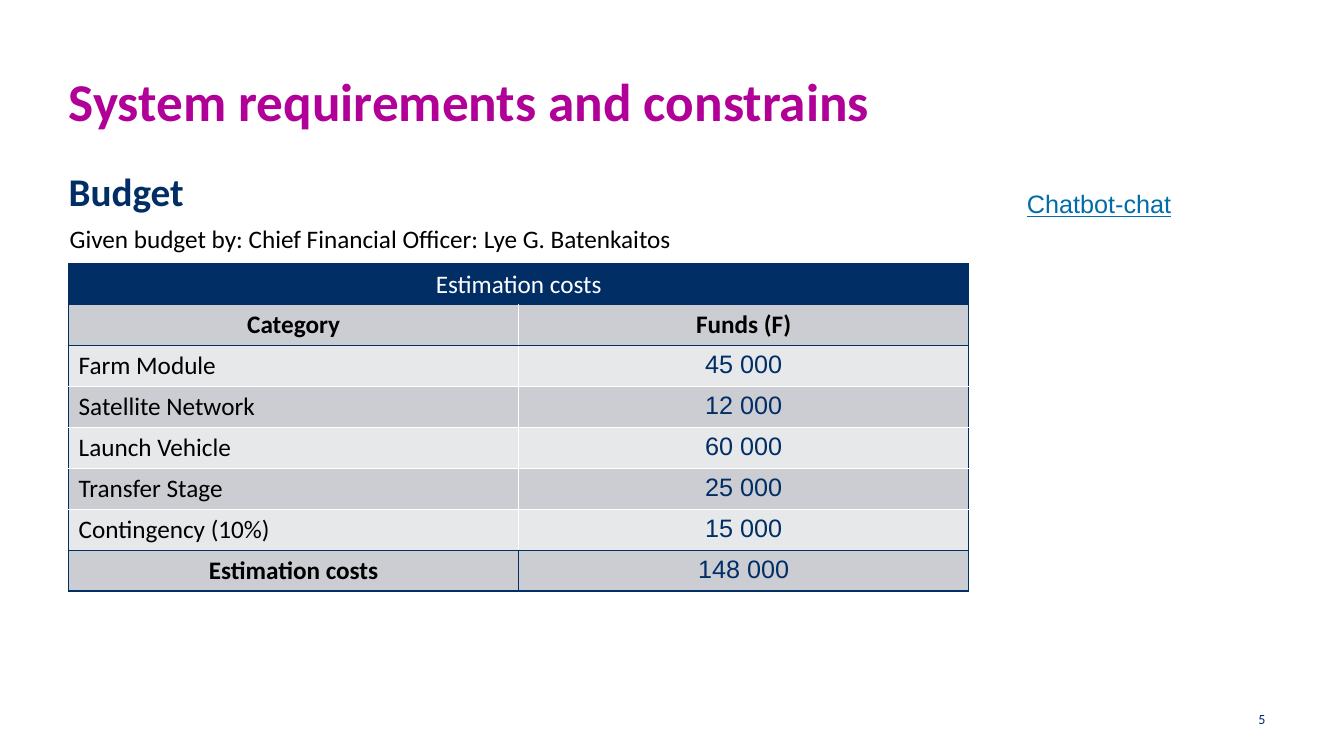
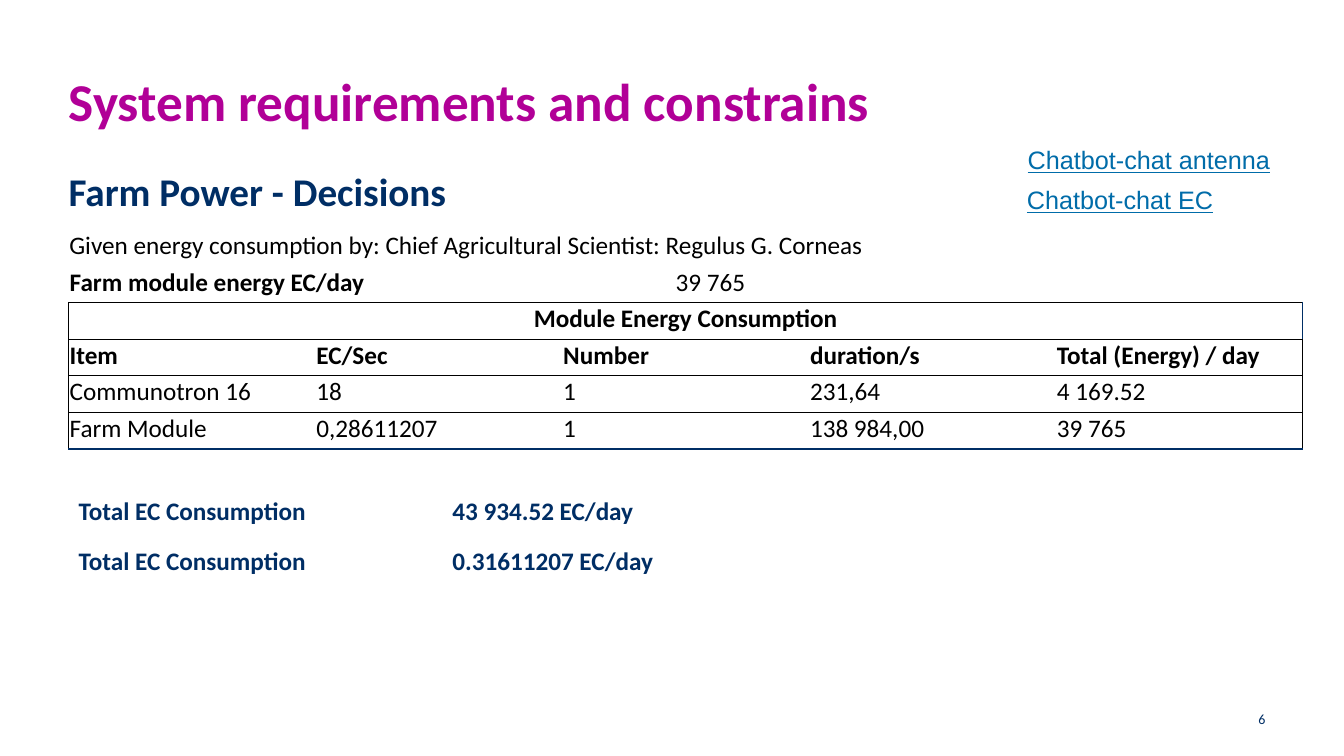
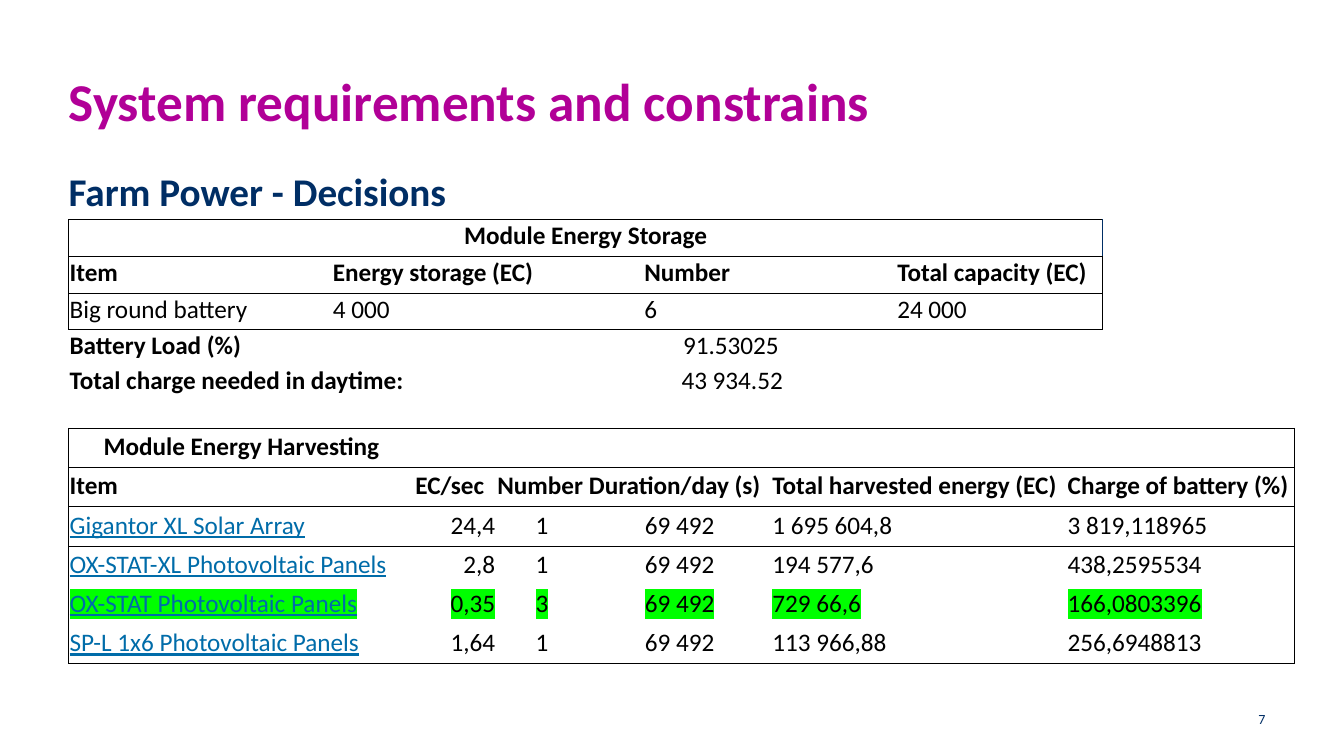
import pptx
import pptx.dml.color
import pptx.enum.text
import pptx.oxml
import pptx.oxml.ns
import pptx.util
from lxml import etree

Pt = pptx.util.Pt
qn = pptx.oxml.ns.qn
color_of = pptx.dml.color.RGBColor.from_string
ALIGN = {
    "l": pptx.enum.text.PP_ALIGN.LEFT,
    "c": pptx.enum.text.PP_ALIGN.CENTER,
    "r": pptx.enum.text.PP_ALIGN.RIGHT,
}
ANCHOR = pptx.enum.text.MSO_ANCHOR

NAVY, MAGENTA, LINK = "002E65", "B10097", "006CA9"
BLACK, WHITE, GREEN = "000000", "FFFFFF", "00FF00"
GREY, PALE = "CCCDD3", "E7E8EA"
LEFT = 49
PLAIN_TABLE = "{2D5ABB26-0587-4C30-8999-92F81FD0307C}"

# Text styles, named by one letter in the table rows
STYLES = {
    "n": {},
    "b": {"bold": True},
    "w": {"color": WHITE},
    "v": {"color": NAVY, "font": "Arial"},
    "a": {"color": LINK, "underline": True},
    "h": {"highlight": GREEN},
    "H": {"color": LINK, "underline": True, "highlight": GREEN},
    "title": {"size": 38, "color": MAGENTA, "bold": True},
    "heading": {"size": 28, "color": NAVY, "bold": True},
    "number": {"size": 10, "color": NAVY},
    "total": {"color": NAVY, "bold": True, "tab": 267},
    "chat": {"color": LINK, "font": "Arial", "underline": True},
}


def write(frame, text, align="l", size=18, color=BLACK, bold=False,
          font="Calibri", underline=False, highlight=None, tab=None):
    paragraph = frame.paragraphs[0]
    paragraph.alignment = ALIGN[align]
    if tab:
        stops = etree.SubElement(paragraph._p.get_or_add_pPr(), qn("a:tabLst"))
        etree.SubElement(stops, qn("a:tab"), pos=str(Pt(tab)), algn="l")
    run = paragraph.add_run()
    run.text = text
    run.font.size = Pt(size)
    run.font.bold = bold
    run.font.underline = underline
    run.font.color.rgb = color_of(color)
    if highlight:
        mark = etree.SubElement(run._r.get_or_add_rPr(), qn("a:highlight"))
        etree.SubElement(mark, qn("a:srgbClr"), val=highlight)
    run.font.name = font


def set_border(cell, side, line):
    if line is None:
        return
    color, width = line
    border = etree.SubElement(cell._tc.get_or_add_tcPr(), qn("a:ln" + side),
                              w=str(Pt(width)))
    fill = etree.SubElement(border, qn("a:solidFill"))
    etree.SubElement(fill, qn("a:srgbClr"), val=color)


presentation = pptx.Presentation()
presentation.slide_width = Pt(960)
presentation.slide_height = Pt(540)

# Shared parts of every slide: title, heading, slide number
slides = []
texts = []  # slide index, style, align, (left, top, width, height), text
for index, heading in enumerate(["Budget"] + ["Farm Power - Decisions"] * 2):
    slides.append(presentation.slides.add_slide(presentation.slide_layouts[6]))
    texts += [
        (index, "title", "l", (LEFT, 49, 862, 63), "System requirements and constrains"),
        (index, "heading", "l", (LEFT, 119.5, 862, 36), heading),
        (index, "number", "r", (703, 499, 208, 29), str(index + 5)),
    ]

# Text boxes of single slides
texts += [
    (0, "chat", "l", (726.5, 131, 160, 29), "Chatbot-chat"),
    (1, "chat", "l", (726.5, 128, 203, 29), "Chatbot-chat EC"),
    (1, "chat", "l", (727, 99.5, 222, 29), "Chatbot-chat antenna"),
    (1, "n", "l", (42.5, 160.5, 596, 29),
     "Given energy consumption by: Chief Agricultural Scientist: Regulus G. Corneas"),
    (1, "total", "l", (LEFT, 350.5, 480, 29), "Total EC Consumption\t43 934.52 EC/day"),
    (1, "total", "l", (LEFT, 386, 480, 29), "Total EC Consumption\t0.31611207 EC/day"),
]
for index, style, align, box, text in texts:
    shape = slides[index].shapes.add_textbox(*[Pt(length) for length in box])
    frame = shape.text_frame
    frame.word_wrap = True
    if style in ("title", "heading"):
        frame.margin_left = frame.margin_right = 0
        frame.margin_top = frame.margin_bottom = 0
    if style == "number":
        frame.vertical_anchor = ANCHOR.MIDDLE
    write(frame, text, align, **STYLES[style])

# Tables: each row holds cell styles, cell alignments and cell texts
navy_line, white_line = (NAVY, 1), (WHITE, 1)
black_line, thin_line = (BLACK, 1), (BLACK, 0.5)

tables = [
    {"slide": 0, "top": 160, "columns": [509], "rows": [
        ("n", "l", ["Given budget by: Chief Financial Officer: Lye G. Batenkaitos"])]},
    {"slide": 0, "top": 188.6, "columns": [321.5, 321.5], "height": 29.2,
     "roomy": True, "merge": True,
     "fills": [NAVY] + [GREY, PALE] * 3 + [GREY],
     "across": [navy_line] * 3 + [white_line] * 4 + [navy_line] * 2,
     "down": [navy_line, white_line, navy_line],
     "special": {(7, 1): navy_line},
     "rows": [
         ("ww", "cc", ["Estimation costs", ""]),
         ("bb", "cc", ["Category", "Funds (F)"]),
         ("nv", "lc", ["Farm Module", "45 000"]),
         ("nv", "lc", ["Satellite Network", "12 000"]),
         ("nv", "lc", ["Launch Vehicle", "60 000"]),
         ("nv", "lc", ["Transfer Stage", "25 000"]),
         ("nv", "lc", ["Contingency (10%)", "15 000"]),
         ("bv", "cc", ["Estimation costs", "148 000"])]},
    {"slide": 1, "top": 190, "columns": [278, 206], "rows": [
        ("bn", "lr", ["Farm module energy EC/day", "39 765"])]},
    {"slide": 1, "top": 216, "columns": [176.3] * 5, "merge": True,
     "across": [black_line, thin_line, thin_line, None, navy_line],
     "down": [black_line] + [None] * 4 + [black_line],
     "special": {(0, 5): navy_line},
     "rows": [
         ("bbbbb", "clllc", ["Module Energy Consumption", "", "", "", ""]),
         ("bbbbb", "lllll", ["Item", "EC/Sec", "Number", "duration/s",
                             "Total (Energy) / day"]),
         ("nnnnn", "lllll", ["Communotron 16", "18", "1", "231,64", "4 169.52"]),
         ("nnnnn", "lllll", ["Farm Module", "0,28611207", "1", "138 984,00",
                             "39 765"])]},
    {"slide": 2, "top": 157, "columns": [188, 222.5, 132.5, 48.2, 147.5], "merge": True,
     "across": [black_line, thin_line, thin_line, black_line],
     "down": [black_line] + [None] * 4 + [black_line],
     "special": {(0, 5): navy_line},
     "rows": [
         ("bbbbb", "clllc", ["Module Energy Storage", "", "", "", ""]),
         ("bbbbb", "lllll", ["Item", "Energy storage (EC)", "Number", "",
                             "Total capacity (EC)"]),
         ("nnnnn", "lllll", ["Big round battery", "4 000", "6", "", "24 000"])]},
    {"slide": 2, "top": 235.3, "columns": [292, 216], "rows": [
        ("bn", "lr", ["Battery Load (%)", "91.53025"])]},
    {"slide": 2, "top": 260.7, "columns": [294, 217], "rows": [
        ("bn", "lr", ["Total charge needed in daytime:", "43 934.52"])]},
    {"slide": 2, "top": 306, "columns": [247, 58.5, 65.5, 131, 211, 163], "height": 28,
     "across": [black_line, thin_line, thin_line, None, None, None, black_line],
     "down": [black_line] + [None] * 5 + [black_line],
     "rows": [
         ("bbbbbb", "clllll", ["Module Energy Harvesting", "", "", "", "", ""]),
         ("bbbbbb", "llllll", ["Item", "EC/sec", "Number", "Duration/day (s)",
                               "Total harvested energy (EC)", "Charge of battery (%)"]),
         ("annnnn", "lrccll", ["Gigantor XL Solar Array", "24,4", "1", "69 492",
                               "1 695 604,8", "3 819,118965"]),
         ("annnnn", "lrccll", ["OX-STAT-XL Photovoltaic Panels", "2,8", "1", "69 492",
                               "194 577,6", "438,2595534"]),
         ("Hhhhhh", "lrccll", ["OX-STAT Photovoltaic Panels", "0,35", "3", "69 492",
                               "729 66,6", "166,0803396"]),
         ("annnnn", "lrccll", ["SP-L 1x6 Photovoltaic Panels", "1,64", "1", "69 492",
                               "113 966,88", "256,6948813"])]},
]

for layout in tables:
    rows, columns = layout["rows"], layout["columns"]
    height = layout.get("height", 26.2)
    across = layout.get("across", [None] * (len(rows) + 1))
    down = layout.get("down", [None] * (len(columns) + 1))
    special = layout.get("special", {})
    merge = layout.get("merge", False)
    table = slides[layout["slide"]].shapes.add_table(
        len(rows), len(columns), Pt(LEFT), Pt(layout["top"]),
        Pt(sum(columns)), Pt(height * len(rows))).table
    table.first_row = table.horz_banding = False
    table._tbl.find(".//" + qn("a:tableStyleId")).text = PLAIN_TABLE
    for column, width in zip(table.columns, columns):
        column.width = Pt(width)
    if merge:
        table.cell(0, 0).merge(table.cell(0, len(columns) - 1))

    for r, (styles, aligns, values) in enumerate(rows):
        table.rows[r].height = Pt(height)
        for c, value in enumerate(values):
            cell = table.cell(r, c)
            if not layout.get("roomy"):
                cell.margin_left = cell.margin_right = cell.margin_top = Pt(0.75)
                cell.margin_bottom = Pt(3.6)
                cell.vertical_anchor = ANCHOR.BOTTOM
            # A merged header has only its outer left and right edges
            left, right = c, c + 1
            if merge and r == 0:
                left, right = 0, len(columns)
            set_border(cell, "L", special.get((r, left), down[left]))
            set_border(cell, "R", special.get((r, right), down[right]))
            set_border(cell, "T", across[r])
            set_border(cell, "B", across[r + 1])
            if "fills" in layout:
                cell.fill.solid()
                cell.fill.fore_color.rgb = color_of(layout["fills"][r])
            else:
                cell.fill.background()
            if value:
                write(cell.text_frame, value, aligns[c], **STYLES[styles[c]])

presentation.save("out.pptx")
